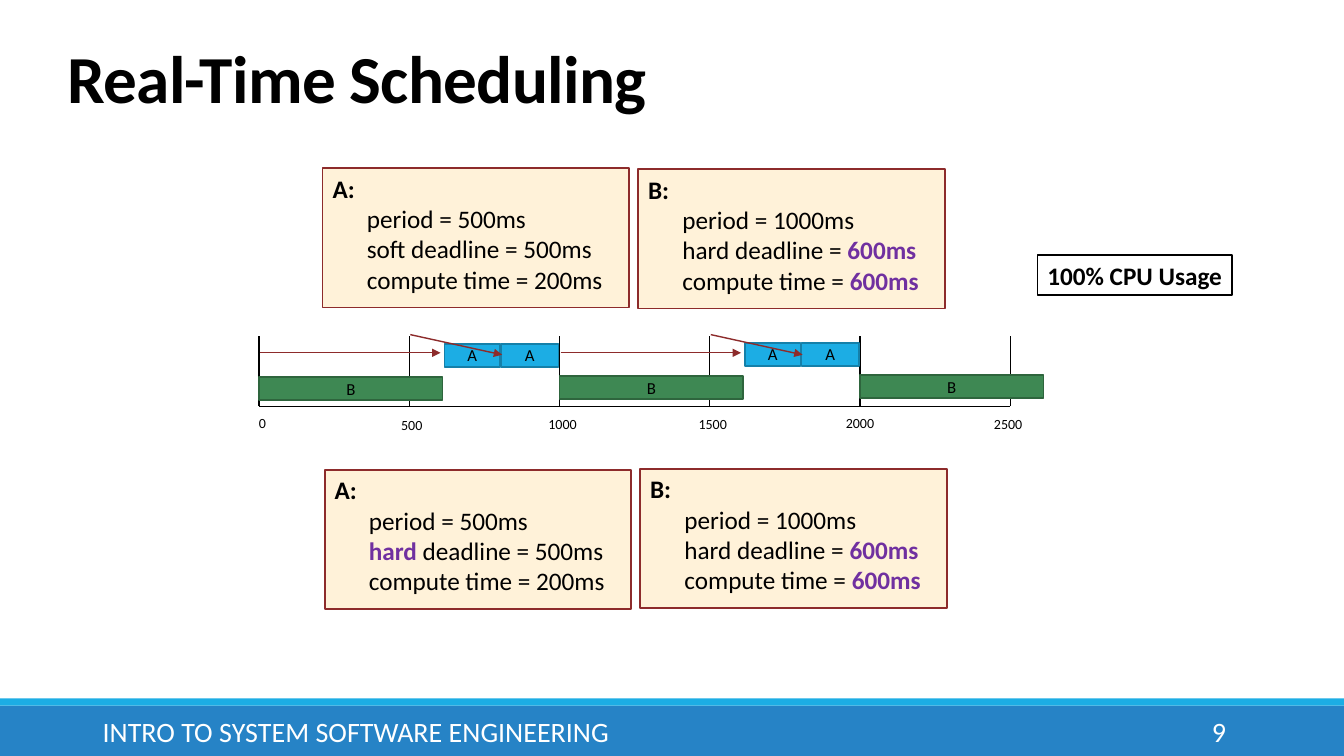
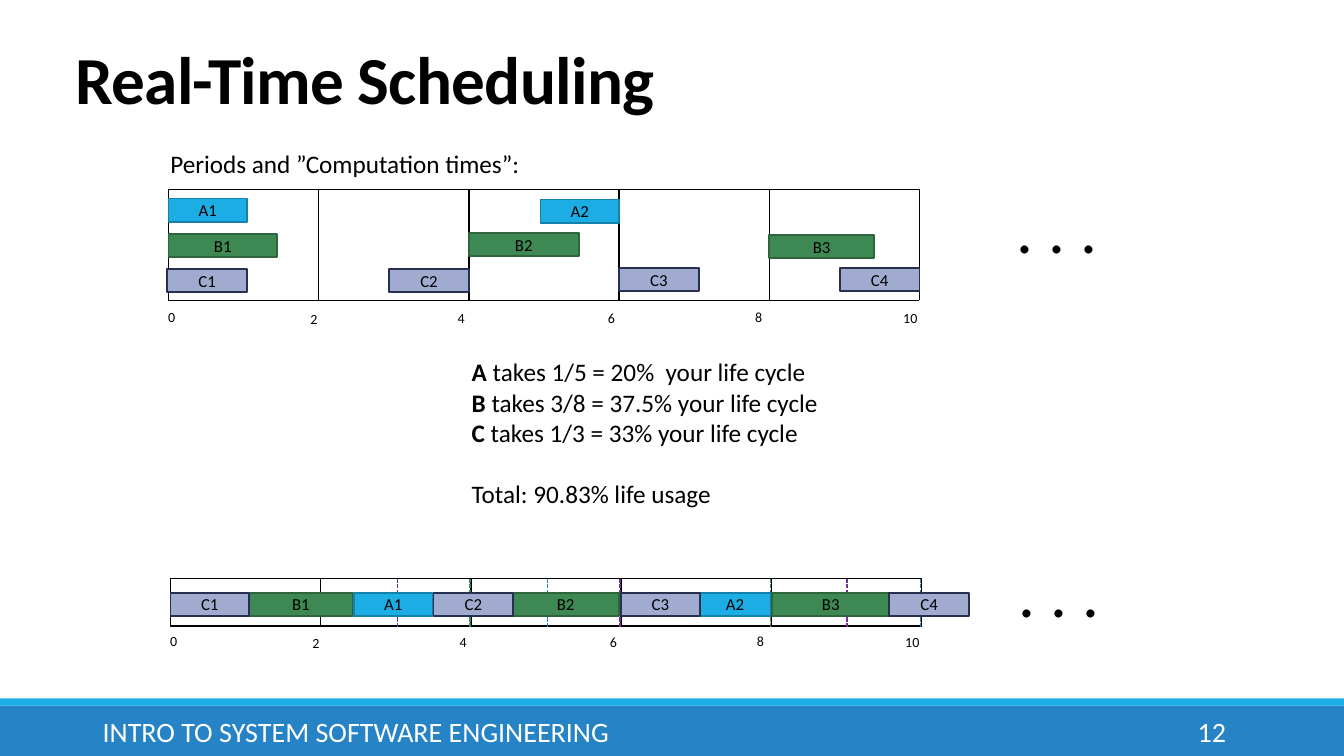
"""Build two slides on real-time scheduling."""
from dataclasses import dataclass

from lxml.etree import SubElement
from pptx import Presentation
from pptx.dml.color import RGBColor
from pptx.enum.dml import MSO_LINE
from pptx.enum.shapes import MSO_CONNECTOR, MSO_SHAPE
from pptx.enum.text import MSO_ANCHOR, PP_ALIGN
from pptx.oxml.ns import qn
from pptx.util import Inches, Pt

RECT = MSO_SHAPE.RECTANGLE
STRAIGHT = MSO_CONNECTOR.STRAIGHT
DASH = MSO_LINE.SQUARE_DOT
TOP, MID, LOW = MSO_ANCHOR.TOP, MSO_ANCHOR.MIDDLE, MSO_ANCHOR.BOTTOM
LEFT, MIDDLE, RIGHT = PP_ALIGN.LEFT, PP_ALIGN.CENTER, PP_ALIGN.RIGHT

FONT = "Calibri"
HUES = {
    "black": "000000", "white": "FFFFFF", "band": "2683C6", "strip": "1CADE4",
    "card": "FFF2D9", "red": "8D2B2B", "purple": "7030A0", "green": "3E8853",
    "A": "1CADE4", "A edge": "1580A9",
    "B": "3E8853", "B edge": "2E653D",
    "C": "A1ABD0", "C edge": "27304E",
}
STEP = 1.49
TICKS = [(0, 0), (1.41, 0.02), (2.87, 0.01), (4.36, 0.01), (5.82, 0), (7.29, 0.01)]


@dataclass
class Task:
    name: str
    x: float
    y: float
    wide: float


@dataclass
class Card:
    x: float
    y: float
    head: str
    lines: tuple


@dataclass
class Axis:
    x: float
    top: float
    base: float
    unit: int
    mark: float
    lid: bool = True


@dataclass
class Rule:
    start: tuple
    end: tuple
    hue: str = "black"
    dash: bool = False
    arrow: bool = False


def tint(name):
    return RGBColor.from_string(HUES[name])


def say(shape, text: str, *, size=18, hue="black", bold=False, accent="black",
        align=LEFT, indent=0.0, before=0.0, lead=None, track=0):
    frame = shape.text_frame
    para = frame.add_paragraph() if frame.text else frame.paragraphs[0]
    para.alignment = align
    para.space_before = Pt(before)
    if lead:
        para.line_spacing = lead
    if indent:
        para._p.get_or_add_pPr().set("marL", str(Inches(indent)))
    for spot, part in enumerate(text.split("|")):
        if not part:
            continue
        strong = spot % 2 == 1
        run = para.add_run()
        run.text = part
        run.font.name = FONT
        run.font.size = Pt(size)
        run.font.bold = bold or strong
        run.font.color.rgb = tint(accent if strong else hue)
        if track:
            run.font._element.set("spc", str(track))


def box(slide, x: float, y: float, wide: float, high: float, *,
        fill=None, edge=None, anchor=TOP, wrap=True):
    area = [Inches(v) for v in (x, y, wide, high)]
    if fill:
        shape = slide.shapes.add_shape(RECT, *area)
        shape.shadow.inherit = False
        shape.fill.solid()
        shape.fill.fore_color.rgb = tint(fill)
        if edge:
            shape.line.color.rgb = tint(edge)
            shape.line.width = Pt(1.25)
        else:
            shape.line.fill.background()
    else:
        shape = slide.shapes.add_textbox(*area)
    shape.text_frame.word_wrap = wrap
    shape.text_frame.vertical_anchor = anchor
    return shape


def note(slide, text: str, x: float, y: float, wide: float, high: float, **form):
    say(box(slide, x, y, wide, high, wrap=False), text, **form)


def draw(slide, rule: Rule):
    ends = [Inches(v) for v in rule.start + rule.end]
    link = slide.shapes.add_connector(STRAIGHT, *ends)
    link.line.color.rgb = tint(rule.hue)
    link.line.width = Pt(1)
    if rule.dash:
        link.line.dash_style = DASH
    props = link.element.spPr
    if rule.arrow:
        SubElement(props.find(qn("a:ln")), qn("a:tailEnd"), type="triangle")
    SubElement(props, qn("a:effectLst"))


def plot(slide, axis: Axis):
    for y in (axis.base, axis.top) if axis.lid else (axis.base,):
        draw(slide, Rule((axis.x, y), (axis.x + 5 * STEP, y)))
    for spot, (left, drop) in enumerate(TICKS):
        x = axis.x + spot * STEP
        draw(slide, Rule((x, axis.base), (x, axis.top)))
        text = str(spot * axis.unit)
        note(slide, text, axis.x - 0.1 + left, axis.mark + drop,
             0.2 + 0.07 * len(text), 0.27, size=10)


def place(slide, task: Task):
    kind = task.name[0]
    bar = box(slide, task.x, task.y, task.wide, 0.23,
              fill=kind, edge=f"{kind} edge", anchor=MID)
    say(bar, task.name, size=12, align=MIDDLE)


def show(slide, card: Card):
    pane = box(slide, card.x, card.y, 3.04, 1.38, fill="card", edge="red")
    say(pane, card.head, bold=True)
    for line in card.lines:
        say(pane, line, indent=0.34, accent="purple")


def start(deck, left: float, top: float, page: int):
    slide = deck.slides.add_slide(deck.slide_layouts[6])
    box(slide, 0, 7, 13.33, 0.5, fill="band")
    box(slide, 0, 6.93, 13.33, 0.07, fill="strip")
    title = box(slide, left, top, 11, 0.85, anchor=LOW)
    say(title, "Real-Time Scheduling", size=48, bold=True, lead=0.85, track=-50)
    foot = box(slide, 0.92, 7.06, 8.39, 0.4, anchor=MID)
    say(foot, "INTRO TO SYSTEM SOFTWARE ENGINEERING", size=20, hue="white")
    count = box(slide, 10.83, 7.06, 1.43, 0.4, anchor=MID)
    say(count, str(page), size=20, hue="white", align=RIGHT)
    return slide


def load(deck):
    slide = start(deck, 0.57, 0.36, 9)
    hard = ("period = 1000ms", "hard deadline = |600ms|", "compute time = |600ms|")
    cards = [
        Card(3.2, 1.67, "A:", ("period = 500ms", "soft deadline = 500ms",
                               "compute time = 200ms")),
        Card(6.33, 1.68, "B:", hard),
        Card(3.22, 4.66, "A:", ("period = 500ms", "|hard| deadline = 500ms",
                                "compute time = 200ms")),
        Card(6.35, 4.65, "B:", hard),
    ]
    for card in cards:
        show(slide, card)
    plot(slide, Axis(2.57, 3.33, 4.03, 500, 4.06, lid=False))
    for turn in range(3):
        x = 2.57 + turn * 2 * STEP
        lift = turn * 0.01
        place(slide, Task("B", x, 3.74 - lift, 1.82))
        if turn < 2:
            place(slide, Task("A", x + 1.84, 3.41 - lift, 0.55))
            place(slide, Task("A", x + 2.4, 3.41 - lift, 0.57))
            draw(slide, Rule((x + 0.01, 3.5), (x + 1.8, 3.5), "red", arrow=True))
            draw(slide, Rule((x + 1.5, 3.32), (x + 2.41, 3.52), "red", arrow=True))
    usage = box(slide, 10.29, 2.53, 1.93, 0.4, fill="white", edge="black", wrap=False)
    say(usage, "100% CPU Usage", bold=True)


def cycle(deck):
    slide = start(deck, 0.65, 0.37, 12)
    plot(slide, Axis(1.67, 1.88, 2.98, 2, 3.01))
    plot(slide, Axis(1.69, 5.74, 6.21, 2, 6.23))
    dues = [(3.94, "purple"), (4.66, "green"), (5.43, "band"), (6.15, "purple"),
            (7.64, "green"), (8.4, "purple"), (9.13, "band")]
    for x, hue in dues:
        draw(slide, Rule((x, 5.74), (x, 6.22), hue, dash=True))
    tasks = [
        Task("A1", 1.67, 1.97, 0.78), Task("A2", 5.36, 1.98, 0.78),
        Task("B1", 1.67, 2.32, 1.08), Task("B2", 4.65, 2.31, 1.09),
        Task("B3", 7.63, 2.33, 1.04),
        Task("C1", 1.66, 2.67, 0.79), Task("C2", 3.86, 2.67, 0.79),
        Task("C3", 6.14, 2.66, 0.79), Task("C4", 8.33, 2.66, 0.79),
    ]
    queue = [("B1", 2.47, 1.03), ("A1", 3.51, 0.78), ("A2", 6.93, 0.72),
             ("B2", 5.08, 1.06), ("B3", 7.66, 1.16), ("C1", 1.69, 0.78),
             ("C2", 4.3, 0.79), ("C3", 6.16, 0.78), ("C4", 8.82, 0.79)]
    tasks += [Task(name, x, 5.88, wide) for name, x, wide in queue]
    for task in tasks:
        place(slide, task)
    note(slide, "Periods and \u201dComputation times\u201d:", 1.59, 1.42, 3.71, 0.4)
    for x, y in ((9.98, 1.8), (10, 5.41)):
        note(slide, ". . .", x, y, 1.02, 0.91, size=48)
    shares = box(slide, 4.58, 3.49, 3.68, 1.92, wrap=False)
    for line in ("|A| takes 1/5 = 20%  your life cycle",
                 "|B| takes 3/8 = 37.5% your life cycle",
                 "|C| takes 1/3 = 33% your life cycle"):
        say(shares, line)
    say(shares, "Total: 90.83% life usage", before=22)


def main():
    deck = Presentation()
    deck.slide_width = Inches(13.33)
    deck.slide_height = Inches(7.5)
    load(deck)
    cycle(deck)
    deck.save("out.pptx")


main()
